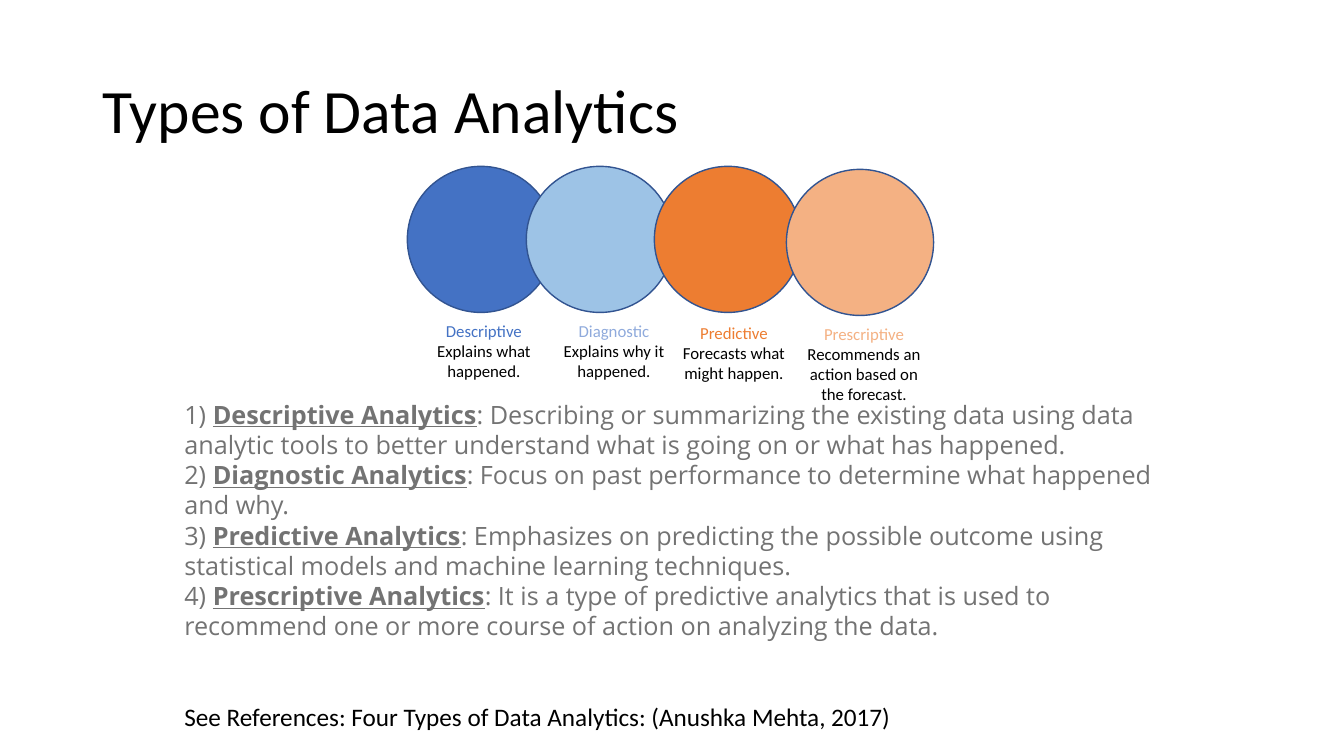
from pptx import Presentation
from pptx.dml.color import RGBColor
from pptx.enum.shapes import MSO_SHAPE
from pptx.enum.text import MSO_ANCHOR, PP_ALIGN
from pptx.util import Inches, Pt

OVAL = MSO_SHAPE.OVAL
MIDDLE = MSO_ANCHOR.MIDDLE
TOP = MSO_ANCHOR.TOP
LEFT = PP_ALIGN.LEFT
CENTER = PP_ALIGN.CENTER

COLORS = {
    "black": "000000", "gray": "737373", "edge": "325491",
    "blue": "4472C4", "sky": "9DC3E6", "mist": "8FAADC",
    "orange": "ED7D31", "peach": "F4B183",
}

# name, note, circle fill, label color, circle x, circle y, label x, label y
STAGES = [
    ("Descriptive", "Explains what happened.", "blue", "blue", 0, 0, 0.03, 1.48),
    ("Diagnostic", "Explains why it happened.", "sky", "mist", 1.18, 0, 1.32, 1.48),
    ("Predictive", "Forecasts what might happen.", "orange", "orange", 2.45, 0, 2.51, 1.5),
    ("Prescriptive", "Recommends an action based on the forecast.",
     "peach", "peach", 3.76, 0.03, 3.8, 1.51),
]

POINTS = [
    ("Descriptive", ":\u00a0Describing or summarizing the existing data using data analytic "
     "tools to better understand what is going on or what has happened."),
    ("Diagnostic", ": Focus on\u00a0past performance to determine what happened and why."),
    ("Predictive", ":\u00a0Emphasizes on predicting the possible outcome using statistical "
     "models and machine learning techniques."),
    ("Prescriptive", ":\u00a0It is a type of predictive analytics that is used to recommend "
     "one or more course of action on analyzing the data."),
]


def color(name):
    return RGBColor.from_string(COLORS[name])


def add_text(slide, box, paras, size=18, font="Calibri", align=LEFT,
             anchor=TOP, wrap=True, space=1.0):
    frame = slide.shapes.add_textbox(*map(Inches, box)).text_frame
    frame.word_wrap = wrap
    frame.vertical_anchor = anchor
    for i, runs in enumerate(paras):
        para = frame.paragraphs[0] if i == 0 else frame.add_paragraph()
        para.alignment = align
        para.line_spacing = space
        for text, tone, strong in runs:
            run = para.add_run()
            run.text = text
            run.font.size = Pt(size)
            run.font.name = font
            run.font.bold = strong
            run.font.underline = strong
            run.font.color.rgb = color(tone)


def add_title(slide, box):
    add_text(slide, box, [[("Types of Data Analytics", "black", False)]],
             size=44, anchor=MIDDLE, space=0.9)


def add_stages(slide, box):
    left, top, width, height = box
    for name, note, fill, tone, x, y, label_x, label_y in STAGES:
        disc = slide.shapes.add_shape(
            OVAL, *map(Inches, (left + x, top + y, width, height)))
        disc.shadow.inherit = False
        disc.fill.solid()
        disc.fill.fore_color.rgb = color(fill)
        disc.line.color.rgb = color("edge")
        disc.line.width = Pt(1)
    for name, note, fill, tone, x, y, label_x, label_y in STAGES:
        add_text(slide, (left + label_x, top + label_y, width, 0.71),
                 [[(name, tone, False)], [(note, "black", False)]],
                 size=12, align=CENTER)


def add_points(slide, box):
    paras = [[(f"{i})\u00a0", "gray", False),
              (f"{name} Analytics", "gray", True),
              (text, "gray", False)]
             for i, (name, text) in enumerate(POINTS, 1)]
    add_text(slide, box, paras, font="Open Sans")


def add_source(slide, box):
    text = "See References: Four Types of Data Analytics: (Anushka Mehta, 2017)"
    add_text(slide, box, [[(text, "black", False)]], wrap=False)


def main():
    deck = Presentation()
    deck.slide_width = Inches(13.33)
    deck.slide_height = Inches(7.5)
    slide = deck.slides.add_slide(deck.slide_layouts[6])
    add_points(slide, (1.73, 3.91, 9.88, 2.52))
    add_source(slide, (1.73, 6.91, 7.29, 0.4))
    add_title(slide, (0.92, 0.4, 11.5, 1.45))
    add_stages(slide, (4.04, 1.65, 1.46, 1.45))
    deck.save("out.pptx")


if __name__ == "__main__":
    main()
